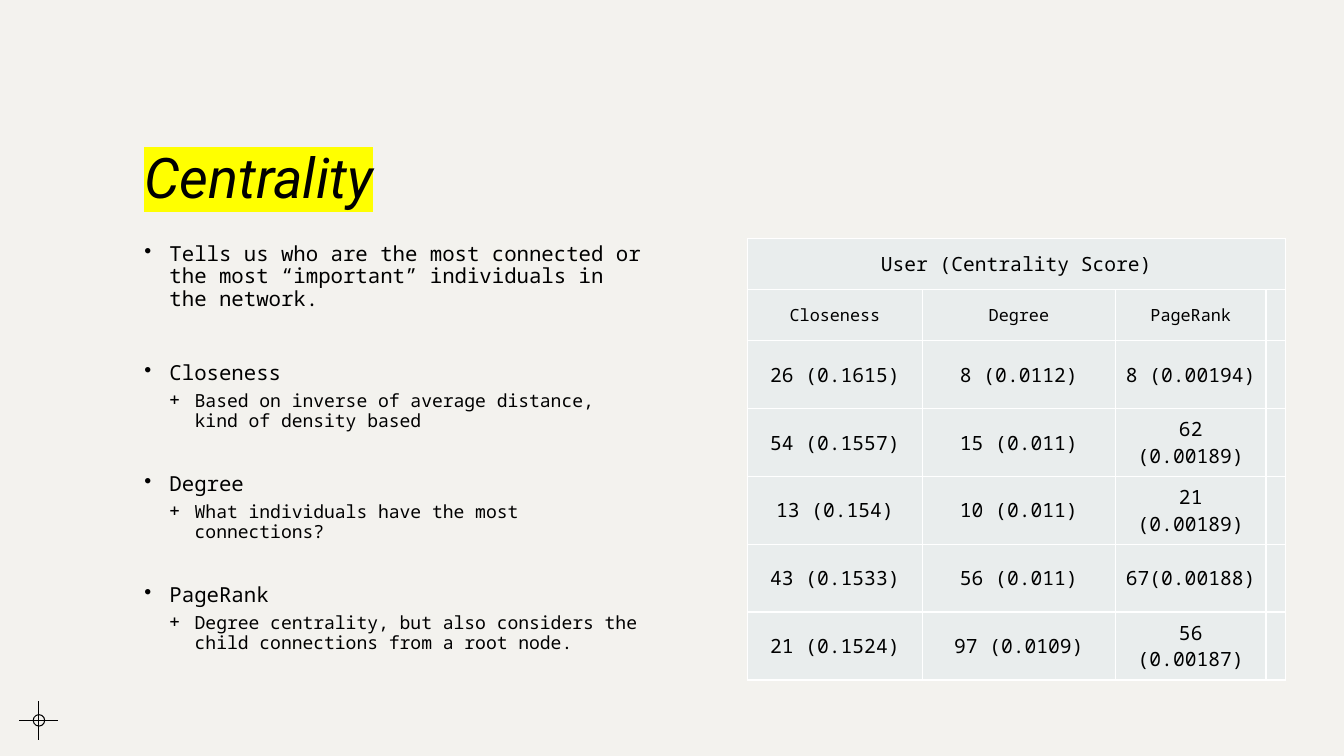
import dataclasses

import lxml.etree
import pptx
import pptx.dml.color
import pptx.enum.shapes
import pptx.enum.text
import pptx.oxml.ns
import pptx.util

qn = pptx.oxml.ns.qn
Pt = pptx.util.Pt
ANCHOR = pptx.enum.text.MSO_ANCHOR
CENTER = pptx.enum.text.PP_ALIGN.CENTER


@dataclasses.dataclass(frozen=True)
class Theme:
    """Colours, fonts and type sizes."""
    paper: str = "F3F2EE"
    ink: str = "000000"
    marker: str = "FFFF00"
    cell: str = "E9EDED"
    border: str = "FFFFFF"
    title_font: str = "Roboto"
    body_font: str = "Noto Sans Mono"
    title: float = 40
    topic: float = 14.8
    detail: float = 12.9
    score: float = 14
    heading: float = 12


def rgb(value):
    """Turn a hex string into a colour."""
    return pptx.dml.color.RGBColor.from_string(value)


def apply(obj, formats):
    """Set every attribute named in a dict of format values."""
    for name, value in formats.items():
        setattr(obj, name, value)


def add_xml(parent, tag, **attrs):
    """Append a child element with attributes."""
    return lxml.etree.SubElement(parent, qn(tag), attrs)


class Deck:
    """Hold the theme and current slide on a grid of 40 columns by 22.5 rows."""

    def __init__(self, theme):
        """Start a presentation with one blank slide."""
        self.theme = theme
        self.prs = pptx.Presentation()
        apply(self.prs, {"slide_width": pptx.util.Inches(13.33),
                         "slide_height": pptx.util.Inches(7.5)})
        self.s = self.prs.slides.add_slide(self.prs.slide_layouts[6])
        fill = self.s.background.fill
        fill.solid()
        fill.fore_color.rgb = rgb(theme.paper)

    def col(self, n):
        """Convert grid columns to a length."""
        return round(self.prs.slide_width * n / 40)

    def row(self, n):
        """Convert grid rows to a length."""
        return round(self.prs.slide_height * n / 22.5)

    def box(self, x, y, w, h):
        """Convert a grid rectangle to lengths."""
        return self.col(x), self.row(y), self.col(w), self.row(h)

    def run(self, p, text, size, font, italic=False):
        """Add a run of ink-coloured text."""
        r = p.add_run()
        r.text = text
        apply(r.font, {"size": Pt(size), "name": font, "italic": italic})
        r.font.color.rgb = rgb(self.theme.ink)
        return r

    def frame(self, x, y, w, h, anchor):
        """Add a wrapping text box."""
        tf = self.s.shapes.add_textbox(*self.box(x, y, w, h)).text_frame
        apply(tf, {"word_wrap": True, "vertical_anchor": anchor})
        return tf

    def title(self, text, *area):
        """Add a highlighted italic title."""
        p = self.frame(*area, ANCHOR.BOTTOM).paragraphs[0]
        p.line_spacing = 1.2
        r = self.run(p, text, self.theme.title, self.theme.title_font, True)
        mark = lxml.etree.Element(qn("a:highlight"))
        add_xml(mark, "a:srgbClr", val=self.theme.marker)
        r.font.fill._xPr.find(qn("a:solidFill")).addnext(mark)

    def bullets(self, items, *area):
        """Add a two-level list of (level, space before, text)."""
        tf = self.frame(*area, ANCHOR.TOP)
        styles = [("•", self.theme.topic), ("+", self.theme.detail)]
        for i, (level, before, text) in enumerate(items):
            p = tf.add_paragraph() if i else tf.paragraphs[0]
            mark, size = styles[level]
            apply(p, {"level": level, "space_before": Pt(before), "line_spacing": 0.9})
            pPr = p._p.get_or_add_pPr()
            indent = pptx.util.Inches(0.25)
            pPr.set("marL", str(indent * (level + 1)))
            pPr.set("indent", str(-indent))
            add_xml(pPr, "a:buChar", char=mark)
            self.run(p, text, size, self.theme.body_font)

    def cell(self, cell, text, size):
        """Style and fill one table cell."""
        margin = pptx.util.Inches(0.07)
        apply(cell, {"margin_left": margin, "margin_right": margin, "margin_top": 0,
                     "margin_bottom": 0, "vertical_anchor": ANCHOR.MIDDLE})
        tcPr = cell._tc.get_or_add_tcPr()
        for side in "LRTB":
            ln = add_xml(tcPr, f"a:ln{side}", w=str(Pt(1)))
            add_xml(add_xml(ln, "a:solidFill"), "a:srgbClr", val=self.theme.border)
        cell.fill.solid()
        cell.fill.fore_color.rgb = rgb(self.theme.cell)
        p = cell.text_frame.paragraphs[0]
        p.alignment = CENTER
        if text:
            self.run(p, text, size, self.theme.body_font)

    def table(self, x, y, widths, heights, caption, headings, scores):
        """Add a table with a merged caption row."""
        data = [[caption], headings, *scores]
        area = self.box(x, y, sum(widths), sum(heights))
        tbl = self.s.shapes.add_table(len(heights), len(widths), *area).table
        apply(tbl, {"first_row": False, "horz_banding": False})
        for column, width in zip(tbl.columns, widths):
            column.width = self.col(width)
        for i, (height, texts) in enumerate(zip(heights, data)):
            tbl.rows[i].height = self.row(height)
            size = self.theme.heading if texts is headings else self.theme.score
            for j in range(len(widths)):
                self.cell(tbl.cell(i, j), texts[j] if j < len(texts) else "", size)
        tbl.cell(0, 0).merge(tbl.cell(0, len(widths) - 1))

    def outline(self, sp):
        """Give a shape a thin ink line."""
        sp.line.width = Pt(0.75)
        sp.line.color.rgb = rgb(self.theme.ink)

    def crosshair(self, x, y, arm, radius):
        """Add a grouped cross with a small ring at its centre."""
        shapes = self.s.shapes.add_group_shape().shapes
        for dx, dy in ((arm, 0), (0, -arm)):
            line = shapes.add_connector(
                pptx.enum.shapes.MSO_CONNECTOR.STRAIGHT,
                self.col(x - dx), self.row(y - dy), self.col(x + dx), self.row(y + dy))
            self.outline(line)
            add_xml(line._element.spPr, "a:effectLst")
        ring = shapes.add_shape(
            pptx.enum.shapes.MSO_SHAPE.OVAL,
            *self.box(x - radius, y - radius, 2 * radius, 2 * radius))
        ring.fill.background()
        ring.shadow.inherit = False
        self.outline(ring)


def main():
    """Build the centrality slide."""
    deck = Deck(Theme())
    deck.crosshair(1.16, 21.44, 0.58, 0.17)
    deck.title("Centrality", 4, 1.2, 31.14, 5.19)
    deck.bullets([
        (0, 10, "Tells us who are the most connected or the most “important” "
                "individuals in the network."),
        (0, 37.5, "Closeness"),
        (1, 5, "Based on inverse of average distance, kind of density based"),
        (0, 30.5, "Degree"),
        (1, 5, "What individuals have the most connections?"),
        (0, 30.5, "PageRank"),
        (1, 5, "Degree centrality, but also considers the child connections "
               "from a root node."),
    ], 4, 7.1, 15.42, 13.14)
    deck.table(
        22.25, 7.1, [5.2, 5.75, 4.48, 0.57], [1.52] * 2 + [2.02] * 5,
        "User (Centrality Score)", ["Closeness", "Degree", "PageRank"],
        [["26 (0.1615)", "8 (0.0112)", "8 (0.00194)"],
         ["54 (0.1557)", "15 (0.011)", "62 (0.00189)"],
         ["13 (0.154)", "10 (0.011)", "21 (0.00189)"],
         ["43 (0.1533)", "56 (0.011)", "67(0.00188)"],
         ["21 (0.1524)", "97 (0.0109)", "56 (0.00187)"]])
    deck.prs.save("out.pptx")


if __name__ == "__main__":
    main()
